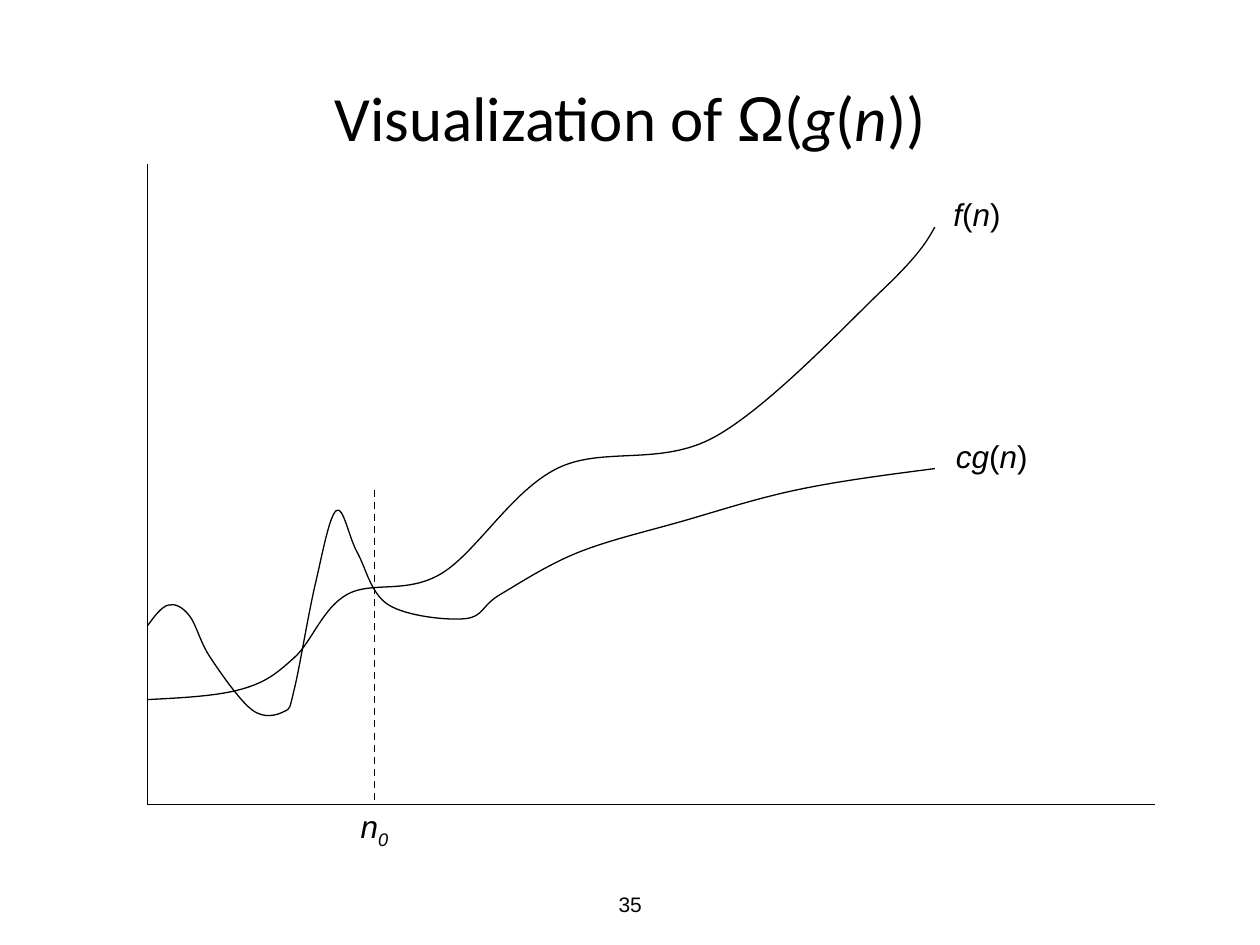
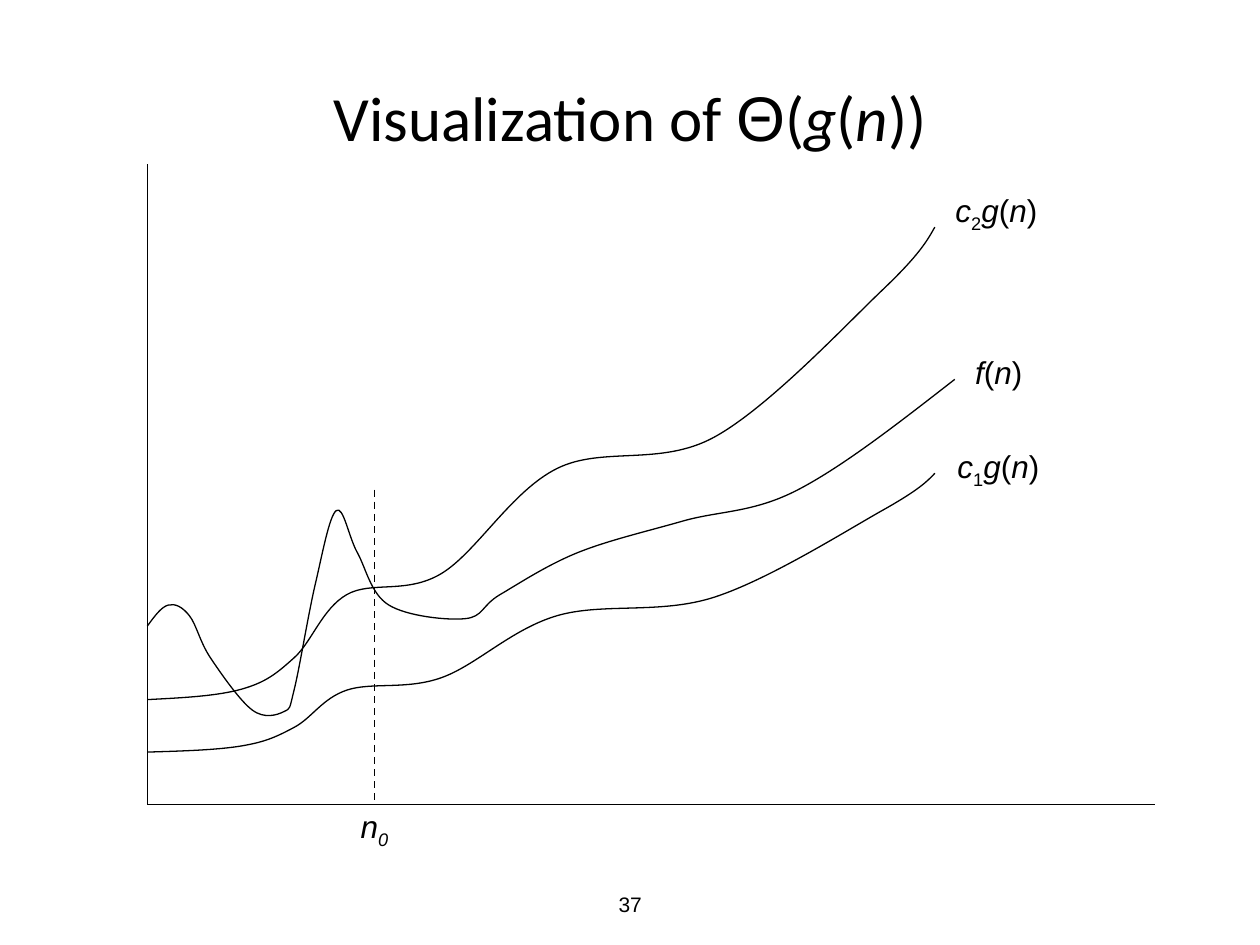
import pptx
import pptx.dml.color
import pptx.enum.dml
import pptx.enum.shapes
import pptx.enum.text
import pptx.oxml
import pptx.oxml.ns
import pptx.util
from lxml import etree
from pptx.util import Cm

BLACK = "000000"
BODY_FONT = "Arial"
TITLE_FONT = "Calibri"

# Plot grid: twelve cells to 2.54 cm, origin at the corner of the axes
CELL = 2.54 / 12
ORIGIN_X, ORIGIN_Y = 2.97, 16.22
AXIS_WIDTH, AXIS_HEIGHT = 96, 61
N0_X, N0_HEIGHT = 21.65, 30

UPPER = [(0, 10), (9, 11), (14, 14), (19, 20), (28, 22), (39, 32),
         (54, 35), (70, 49), (75, 55)]
LOWER = [(x, 5 + 0.59 * (y - 10)) for x, y in UPPER]
WAVY = [(0, 17), (2, 19), (4, 18), (6, 14), (10, 9), (13, 8.85), (14, 11),
        (16, 21), (18, 28), (20, 24), (23, 19), (30.25, 17.7), (33.6, 20),
        (41, 24), (51, 27), (62, 30)]

ITALIC = {"italic": True}
SUB = {"baseline": -25}
OF_N = [("(", {}), ("n", ITALIC), (")", {})]
F_OF_N = [("f", ITALIC), *OF_N]
CG_OF_N = [("cg", ITALIC), *OF_N]
N_ZERO = [("n", ITALIC), ("0", {**ITALIC, **SUB})]


def c_g_of_n(index):
    return [("c", ITALIC), (index, SUB), ("g", ITALIC), *OF_N]


def rgb(hex_text):
    return pptx.dml.color.RGBColor.from_string(hex_text)


def add_run(p, text, font=BODY_FONT, size=18, color=BLACK, italic=False, baseline=0):
    r = p.add_run()
    r.text = text
    r.font.name = font
    r.font.size = pptx.util.Pt(size)
    r.font.italic = italic
    r.font.color.rgb = rgb(color)
    if baseline:
        r._r.get_or_add_rPr().set("baseline", str(baseline * 1000))


def add_text(s, runs, left, top, width, height, centered=False, **style):
    """Add a text box; a centred one wraps and is anchored in the middle."""
    tf = s.shapes.add_textbox(Cm(left), Cm(top), Cm(width), Cm(height)).text_frame
    tf.word_wrap = centered
    p = tf.paragraphs[0]
    if centered:
        tf.vertical_anchor = pptx.enum.text.MSO_ANCHOR.MIDDLE
        p.alignment = pptx.enum.text.PP_ALIGN.CENTER
    else:
        tf.auto_size = pptx.enum.text.MSO_AUTO_SIZE.SHAPE_TO_FIT_TEXT
    for text, formats in runs:
        add_run(p, text, **{**style, **formats})


def plot_point(x, y):
    """Turn grid cells above the origin into a place on the slide."""
    return Cm(ORIGIN_X + x * CELL), Cm(ORIGIN_Y - y * CELL)


def style_line(sp, width=0.75):
    sp.line.color.rgb = rgb(BLACK)
    sp.line.width = pptx.util.Pt(width)


def add_line(s, start, end, width=0.75, dashed=False):
    line = s.shapes.add_connector(pptx.enum.shapes.MSO_CONNECTOR.STRAIGHT,
                                  *plot_point(*start), *plot_point(*end))
    style_line(line, width)
    if dashed:
        line.line.dash_style = pptx.enum.dml.MSO_LINE.DASH
    etree.SubElement(line.element.spPr, pptx.oxml.ns.qn("a:effectLst"))


def bezier_points(anchors):
    """Return two controls and an end point for each step of a smooth curve."""
    def shifted(i, sign):
        return tuple(here + sign * (after - before) / 6 for before, here, after
                     in zip(anchors[i - 1], anchors[i], anchors[i + 1]))

    def middle(a, b):
        return (a[0] + b[0]) / 2, (a[1] + b[1]) / 2

    last = len(anchors) - 1
    points = []
    for i in range(last):
        control_out = shifted(i, 1) if i > 0 else None
        control_in = shifted(i + 1, -1) if i + 1 < last else None
        points += [control_out or middle(anchors[i], control_in),
                   control_in or middle(control_out, anchors[last]),
                   anchors[i + 1]]
    return points


def add_curve(s, anchors):
    builder = s.shapes.build_freeform(*plot_point(*anchors[0]))
    builder.add_line_segments([plot_point(*point) for point in bezier_points(anchors)],
                              close=False)
    sp = builder.convert_to_shape()
    sp.shadow.inherit = False
    sp.fill.background()
    style_line(sp)
    outline = sp.element.xpath(".//a:path")[0]
    steps = list(outline)[1:]
    for i in range(0, len(steps), 3):
        cubic = etree.SubElement(outline, pptx.oxml.ns.qn("a:cubicBezTo"))
        for step in steps[i:i + 3]:
            cubic.append(step[0])
            outline.remove(step)


def add_growth_slide(prs, symbol, number, curves, labels):
    s = prs.slides.add_slide(prs.slide_layouts[6])
    add_text(s, [(number, {})], 8.68, 17.78, 8.05, 0.89, centered=True, size=12)
    title = [("Visualization of ", {}), (symbol, {"font": BODY_FONT}), ("(", {}),
             ("g", ITALIC), *OF_N, (")", {})]
    add_text(s, title, 1.27, 0.76, 22.86, 3.18, centered=True,
             font=TITLE_FONT, size=36)
    add_line(s, (0, AXIS_HEIGHT), (0, 0))
    add_line(s, (0, 0), (AXIS_WIDTH, 0))
    for anchors in curves:
        add_curve(s, anchors)
    add_line(s, (N0_X, N0_HEIGHT), (N0_X, 0), width=1, dashed=True)
    add_text(s, N_ZERO, 7.02, 16.14, 1.07, 1.12)
    for runs, left, top, width, height in labels:
        add_text(s, runs, left, top, width, height)


def main():
    prs = pptx.Presentation()
    prs.slide_width, prs.slide_height = Cm(25.4), Cm(19.05)
    add_growth_slide(prs, "Ω", "35", [UPPER, WAVY + [(75, 32)]],
                     [(CG_OF_N, 19.02, 8.69, 2, 1.02),
                      (F_OF_N, 18.97, 3.81, 1.5, 1.02)])
    add_growth_slide(prs, "Θ", "37", [UPPER, WAVY + [(76.9, 40.5)], LOWER],
                     [(c_g_of_n("2"), 19.01, 3.72, 2.2, 1.12),
                      (F_OF_N, 19.41, 6.99, 1.5, 1.02),
                      (c_g_of_n("1"), 19.05, 8.89, 2.2, 1.12)])
    prs.save("out.pptx")


if __name__ == "__main__":
    main()
